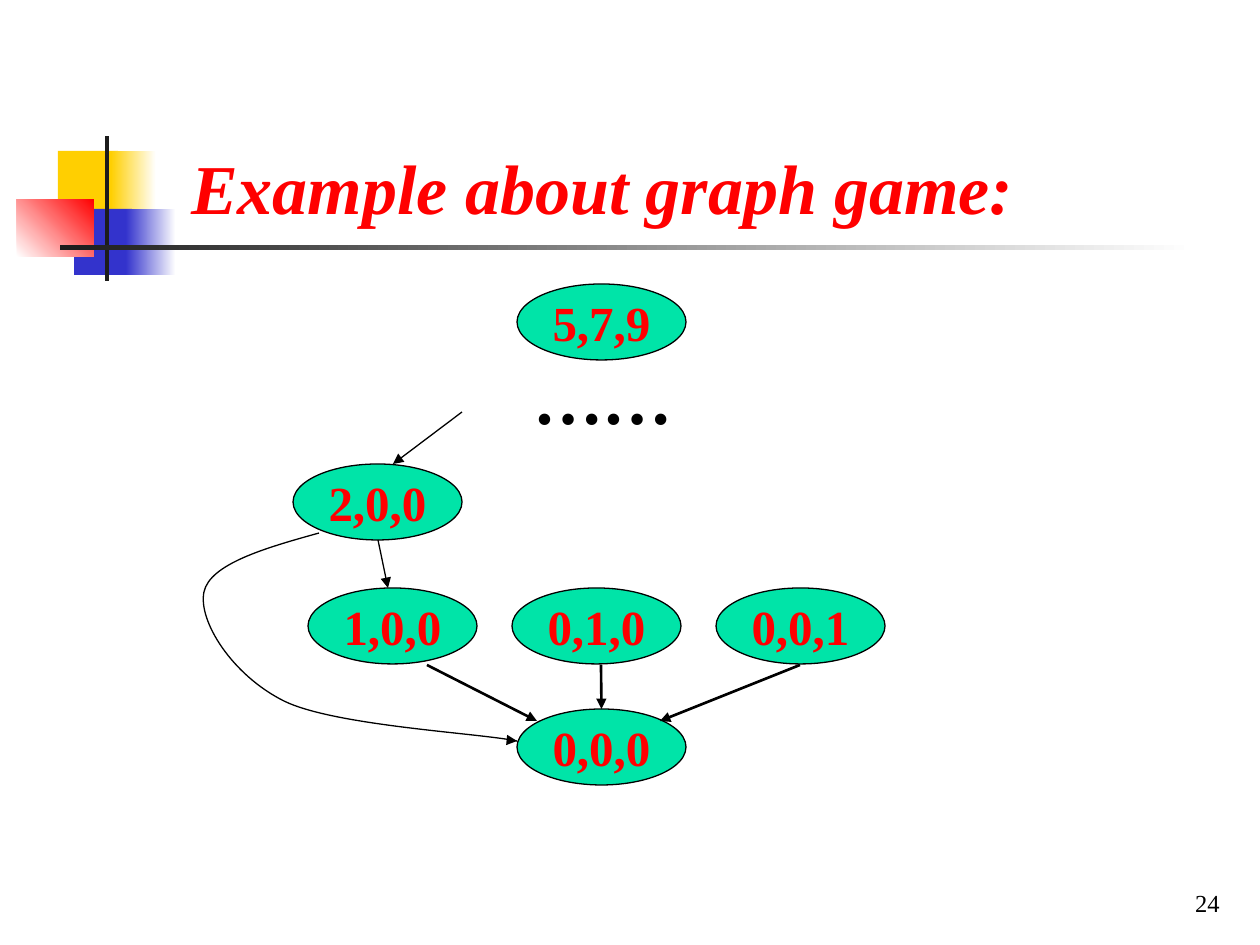
from dataclasses import dataclass

from pptx import Presentation
from pptx.dml.color import RGBColor
from pptx.enum.shapes import MSO_CONNECTOR, MSO_SHAPE
from pptx.enum.text import MSO_ANCHOR, PP_ALIGN
from pptx.oxml.ns import qn
from pptx.util import Inches, Pt
from lxml.etree import SubElement

PX = 914400 / 126


@dataclass(frozen=True)
class Theme:
    font: str = "Times New Roman"
    red: str = "FF0000"
    yellow: str = "FFCF01"
    blue: str = "3333CC"
    dark: str = "1C1C1C"
    black: str = "000000"
    white: str = "FFFFFF"
    node: str = "00E4A8"
    title: int = 40
    label: int = 28
    number: int = 14
    thin: float = 0.75
    thick: float = 1.5


T = Theme()


def px(*values):
    return [round(v * PX) for v in values]


def write(sp, text, size, color=T.black, bold=False, italic=False,
          align=PP_ALIGN.LEFT, anchor=MSO_ANCHOR.TOP, wrap=True, before=0):
    tf = sp.text_frame
    tf.word_wrap = wrap
    tf.vertical_anchor = anchor
    p = tf.paragraphs[0]
    p.alignment = align
    p.space_before = Pt(before)
    r = p.add_run()
    r.text = text
    r.font.name = T.font
    r.font.size = Pt(size)
    r.font.bold = bold
    r.font.italic = italic
    r.font.color.rgb = RGBColor.from_string(color)


def add_text(s, box, text, size, **fmt):
    write(s.shapes.add_textbox(*px(*box)), text, size, **fmt)


def add_block(s, box, colors, angle=0):
    sp = s.shapes.add_shape(MSO_SHAPE.RECTANGLE, *px(*box))
    sp.shadow.inherit = False
    sp.line.fill.background()
    if len(colors) == 1:
        sp.fill.solid()
        sp.fill.fore_color.rgb = RGBColor.from_string(colors[0])
        return
    sp.fill.gradient()
    sp.fill.gradient_angle = angle
    for stop, color in zip(sp.fill.gradient_stops, colors):
        stop.color.rgb = RGBColor.from_string(color)


def add_node(s, x, y, text):
    sp = s.shapes.add_shape(MSO_SHAPE.OVAL, *px(x, y, 169, 76))
    sp.shadow.inherit = False
    sp.fill.solid()
    sp.fill.fore_color.rgb = RGBColor.from_string(T.node)
    sp.line.color.rgb = RGBColor.from_string(T.black)
    sp.line.width = Pt(T.thin)
    write(sp, text, T.label, color=T.red, bold=True, align=PP_ALIGN.CENTER,
          anchor=MSO_ANCHOR.MIDDLE, wrap=False)
    return sp


def add_arrow(s, start, end, width=T.thin):
    cx = s.shapes.add_connector(MSO_CONNECTOR.STRAIGHT, *px(*start, *end))
    cx.line.color.rgb = RGBColor.from_string(T.black)
    cx.line.width = Pt(width)
    SubElement(cx.line._get_or_add_ln(), qn("a:tailEnd"), type="triangle")
    SubElement(cx._element.spPr, qn("a:effectLst"))
    return cx


def add_curve(s, points):
    fb = s.shapes.build_freeform(*points[0], scale=PX)
    fb.add_line_segments(points[1:], close=False)
    sp = fb.convert_to_shape()
    sp.shadow.inherit = False
    sp.fill.background()
    sp.line.color.rgb = RGBColor.from_string(T.black)
    sp.line.width = Pt(T.thin)
    segments = sp._element.xpath(".//a:lnTo")
    for i in range(0, len(segments), 3):
        curve = SubElement(segments[i].getparent(), qn("a:cubicBezTo"))
        for segment in segments[i:i + 3]:
            curve.append(segment[0])
            segment.getparent().remove(segment)


def draw_ornament(s, x, y):
    for box, colors, angle in (
        ((41, 15, 60, 66), [T.yellow], 0),
        ((94, 15, 45, 66), [T.yellow, T.white], 0),
        ((57, 73, 58, 66), [T.blue], 0),
        ((109, 73, 50, 66), [T.blue, T.white], 0),
        ((0, 63, 77, 58), [T.white, T.red], 45),
        ((88, 0, 4, 145), [T.dark], 0),
        ((43, 109, 1134, 5), [T.dark, T.white], 0),
    ):
        left, top, width, height = box
        add_block(s, (x + left, y + top, width, height), colors, angle)


def draw_graph(s, x, y):
    def at(dx, dy):
        return x + dx, y + dy

    add_node(s, *at(319, 0), "5,7,9")
    add_node(s, *at(95, 180), "2,0,0")
    for i, text in enumerate(("1,0,0", "0,1,0", "0,0,1")):
        add_node(s, *at(110 + 204 * i, 304), text)
    end_node = add_node(s, *at(319, 425), "0,0,0")

    add_text(s, (*at(249, 64), 312, 97), "……", T.title, bold=True,
             align=PP_ALIGN.CENTER, before=25)

    add_arrow(s, at(264, 128), at(195, 180))
    add_arrow(s, at(180, 256), at(190, 304))
    add_arrow(s, at(229, 381), at(339, 437), T.thick)
    add_arrow(s, at(602, 381), at(462, 437), T.thick)
    down = add_arrow(s, at(403, 381), at(403, 425), T.thick)
    down.end_connect(end_node, 0)

    add_curve(s, [at(*point) for point in (
        (121, 249), (67, 264), (12, 280), (6, 308), (0, 337),
        (34, 391), (86, 417), (137, 442), (281, 449), (319, 457))])
    add_arrow(s, at(309, 456), at(319, 457))


def main():
    prs = Presentation()
    prs.slide_width = Inches(10)
    prs.slide_height = Inches(7.5)
    s = prs.slides.add_slide(prs.slide_layouts[6])
    draw_ornament(s, 17, 136)
    add_text(s, (179, 106, 888, 129), "Example about graph game:", T.title,
             color=T.red, bold=True, italic=True, anchor=MSO_ANCHOR.BOTTOM)
    draw_graph(s, 198, 284)
    add_text(s, (970, 861, 262, 63), "24", T.number, align=PP_ALIGN.RIGHT,
             anchor=MSO_ANCHOR.BOTTOM)
    prs.save("out.pptx")


if __name__ == "__main__":
    main()
